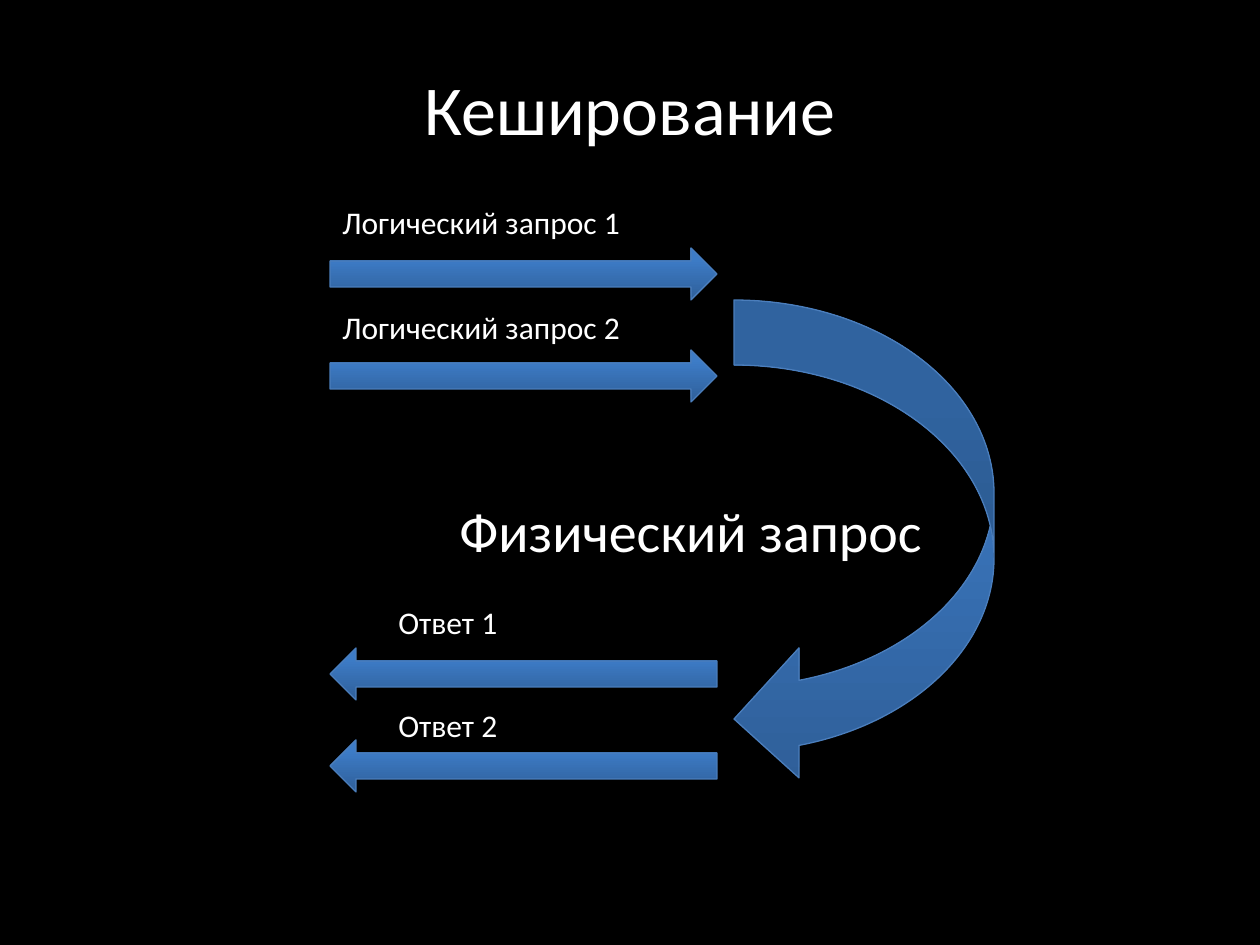
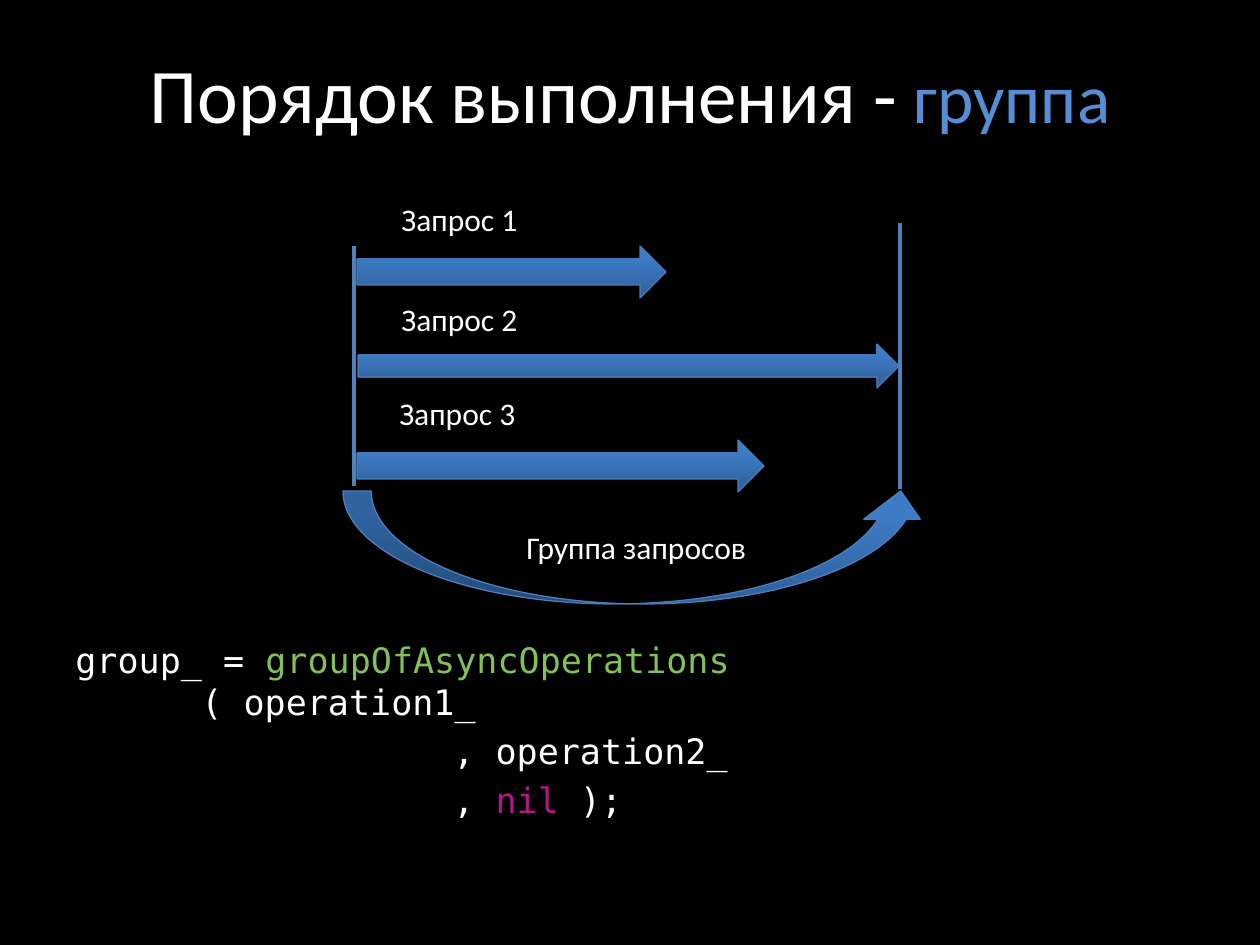
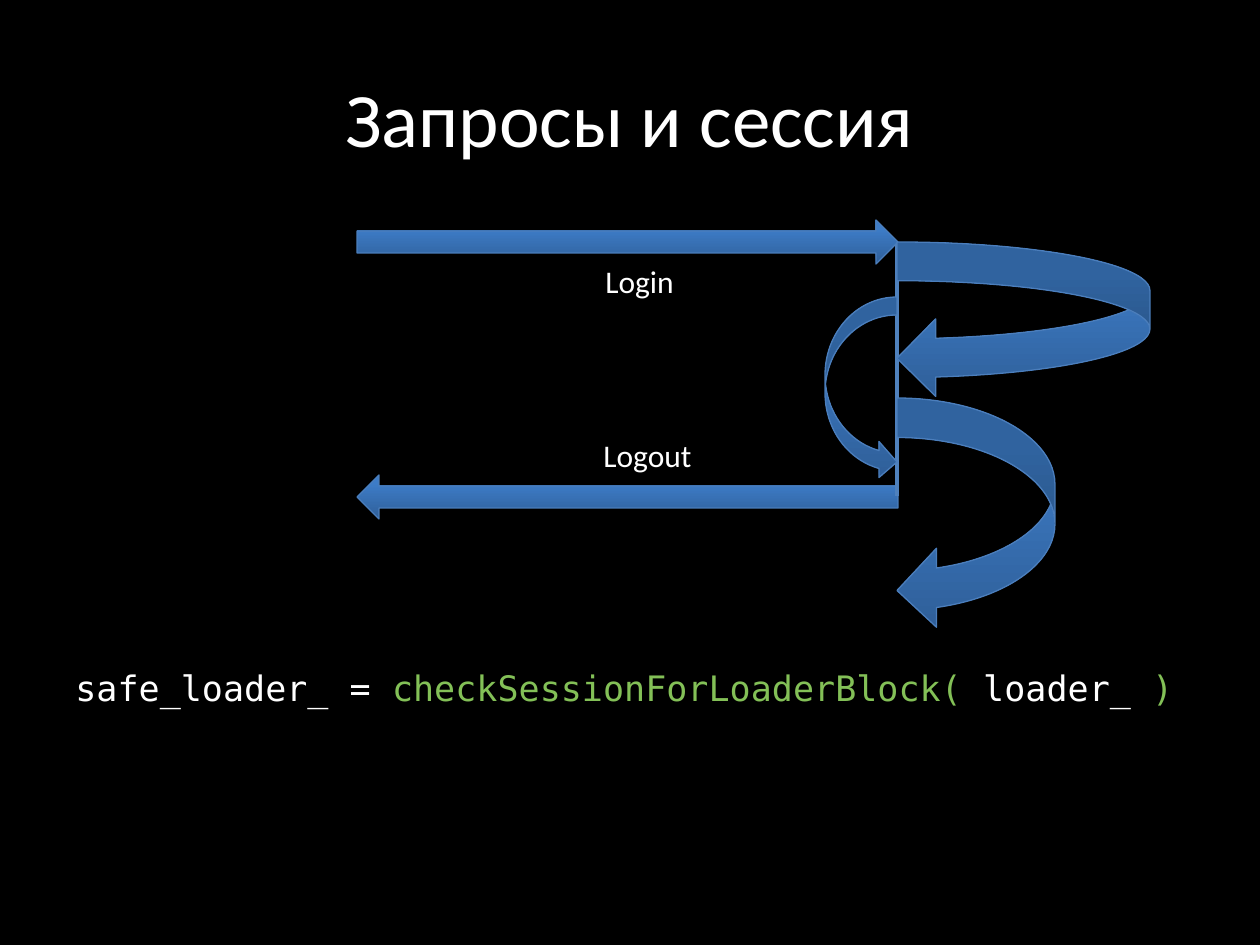
from copy import deepcopy
from dataclasses import dataclass
from lxml.etree import SubElement
from pptx import Presentation
from pptx.dml.color import RGBColor
from pptx.enum.shapes import MSO_CONNECTOR, MSO_SHAPE
from pptx.enum.text import MSO_ANCHOR, MSO_AUTO_SIZE, PP_ALIGN
from pptx.oxml.ns import qn
from pptx.util import Inches, Pt

SCALE = Inches(1) / 126
SANS, MONO = "Calibri", "DejaVu Sans Mono"
BLACK, WHITE, BLUE = "000000", "FFFFFF", "558ED5"
GREEN, PINK = "83C057", "B21889"
EDGE, RULE = "4B7EBC", "4F81BD"
GRADE = ((0, "2F5F99"), (0.8, "3D7CC7"), (1, "3A7CCB"))
BREAK = "\v"
LEFT, WIDE, TAB = 63, 1134, 126
RIGHT = MSO_SHAPE.RIGHT_ARROW
BACK = MSO_SHAPE.LEFT_ARROW
CURL = MSO_SHAPE.CURVED_LEFT_ARROW


@dataclass
class Box:
    x: int
    y: int
    w: int
    h: int


@dataclass
class Run:
    text: str
    color: str = WHITE
    size: float = 0


@dataclass
class Arrow:
    kind: MSO_SHAPE
    box: Box


@dataclass
class Label:
    text: str
    box: Box


@dataclass
class Rule:
    x: int
    top: int
    end: int


@dataclass
class Line:
    runs: list[Run]
    left: int = 0
    hang: int = 0


def px(n: float) -> int:
    return round(n * SCALE)


def rgb(code: str) -> RGBColor:
    return RGBColor.from_string(code)


def place(box: Box) -> list[int]:
    return [px(n) for n in (box.x, box.y, box.w, box.h)]


def write(slide, box: Box, lines: list[Line], size: float = 18, font: str = SANS,
          align=PP_ALIGN.LEFT, anchor=MSO_ANCHOR.TOP, wrap: bool = True,
          gap: float = 0) -> None:
    frame = slide.shapes.add_textbox(*place(box)).text_frame
    frame.word_wrap = wrap
    frame.auto_size = MSO_AUTO_SIZE.NONE if wrap else MSO_AUTO_SIZE.SHAPE_TO_FIT_TEXT
    frame.vertical_anchor = anchor
    for i, line in enumerate(lines):
        para = frame.add_paragraph() if i else frame.paragraphs[0]
        para.alignment = align
        para.space_before = Pt(gap if i else 0)
        if line.left:
            props = para._p.get_or_add_pPr()
            props.set("marL", str(px(line.left)))
            props.set("indent", str(px(line.hang)))
        for part in line.runs:
            if part.text == BREAK:
                para.add_line_break()
                continue
            run = para.add_run()
            run.text = part.text
            run.font.name = font
            run.font.size = Pt(part.size or size)
            run.font.color.rgb = rgb(part.color)


def title(slide, runs: list[Run], high: int, size: float = 44) -> None:
    write(slide, Box(LEFT, 38, WIDE, high), [Line(runs)], size=size,
          align=PP_ALIGN.CENTER, anchor=MSO_ANCHOR.MIDDLE)


def code(slide, top: int, high: int, lines: list[Line]) -> None:
    write(slide, Box(LEFT, top, WIDE, high), lines, size=20, font=MONO, gap=4)


def shade(fill) -> None:
    fill.gradient()
    fill.gradient_angle = 90
    first = fill._fill._gradFill.gsLst[0]
    first.addnext(deepcopy(first))
    for stop, (spot, tone) in zip(fill.gradient_stops, GRADE):
        stop.position = spot
        stop.color.rgb = rgb(tone)


def draw(slide, item: Arrow | Label | Rule) -> None:
    if isinstance(item, Label):
        write(slide, item.box, [Line([Run(item.text)])], wrap=False)
    elif isinstance(item, Arrow):
        shape = slide.shapes.add_shape(item.kind, *place(item.box))
        shape.shadow.inherit = False
        shade(shape.fill)
        shape.line.color.rgb = rgb(EDGE)
        shape.line.width = Pt(0.75)
    else:
        x = px(item.x)
        line = slide.shapes.add_connector(
            MSO_CONNECTOR.STRAIGHT, x, px(item.top), x, px(item.end))
        line.line.color.rgb = rgb(RULE)
        line.line.width = Pt(2)
        SubElement(line._element.spPr, qn("a:effectLst"))


def start(deck):
    slide = deck.slides.add_slide(deck.slide_layouts[6])
    fill = slide.background.fill
    fill.solid()
    fill.fore_color.rgb = rgb(BLACK)
    return slide


def cache(deck) -> None:
    slide = start(deck)
    title(slide, [Run("Кеширование")], 140, size=40)
    write(slide, Box(447, 490, 636, 77), [Line([Run("Физический запрос")])], size=32)
    draw(slide, Arrow(CURL, Box(734, 300, 260, 484)))
    for kind, y in ((RIGHT, 248), (RIGHT, 350), (BACK, 648), (BACK, 740)):
        draw(slide, Arrow(kind, Box(330, y, 387, 52)))
    for i, y in enumerate((197, 302), 1):
        draw(slide, Label(f"Логический запрос {i}", Box(330, y, 306, 50)))
    for i, y in enumerate((597, 700), 1):
        draw(slide, Label(f"Ответ {i}", Box(386, y, 126, 50)))


def group(deck) -> None:
    slide = start(deck)
    big, small = 44.1, 39.6
    title(slide, [Run("Порядок", size=big), Run(" ", BLUE, small),
                  Run("выполнения -", size=big), Run(" группа", BLUE, small)], 110)
    code(slide, 632, 295, [
        Line([Run("group_ = "), Run("groupOfAsyncOperations", GREEN),
              Run(BREAK), Run("( operation1_")], TAB, -TAB),
        Line([Run(", operation2_")], 3 * TAB),
        Line([Run(", "), Run("nil", PINK), Run(" );")], 3 * TAB),
    ])
    for item in (
        Arrow(RIGHT, Box(357, 246, 309, 52)),
        Arrow(RIGHT, Box(357, 440, 407, 52)),
        Arrow(MSO_SHAPE.CURVED_UP_ARROW, Box(343, 491, 586, 113)),
        Arrow(RIGHT, Box(358, 344, 541, 44)),
        Label("Запрос 1", Box(389, 194, 142, 50)),
        Label("Запрос 2", Box(389, 294, 142, 50)),
        Label("Запрос 3", Box(387, 388, 142, 50)),
        Label("Группа запросов", Box(514, 522, 249, 50)),
        Rule(354, 246, 486),
        Rule(900, 223, 489),
    ):
        draw(slide, item)


def session(deck) -> None:
    slide = start(deck)
    title(slide, [Run("Запросы и сессия")], 158)
    code(slide, 660, 184, [Line([
        Run("safe_loader_ = "), Run("checkSessionForLoaderBlock( ", GREEN),
        Run("loader_"), Run(" )", GREEN)])])
    axis = 897
    for item in (
        Arrow(BACK, Box(357, 475, 541, 44)),
        Rule(axis, 242, 496),
        Arrow(RIGHT, Box(357, 220, 541, 44)),
        Arrow(CURL, Box(axis, 242, 253, 155)),
        Arrow(MSO_SHAPE.CURVED_RIGHT_ARROW, Box(825, 297, 72, 183)),
        Arrow(CURL, Box(axis, 398, 158, 232)),
        Label("Login", Box(593, 256, 94, 50)),
        Label("Logout", Box(591, 430, 115, 50)),
    ):
        draw(slide, item)


def main() -> None:
    deck = Presentation()
    deck.slide_width, deck.slide_height = px(1260), px(945)
    for build in (cache, group, session):
        build(deck)
    deck.save("out.pptx")


main()
